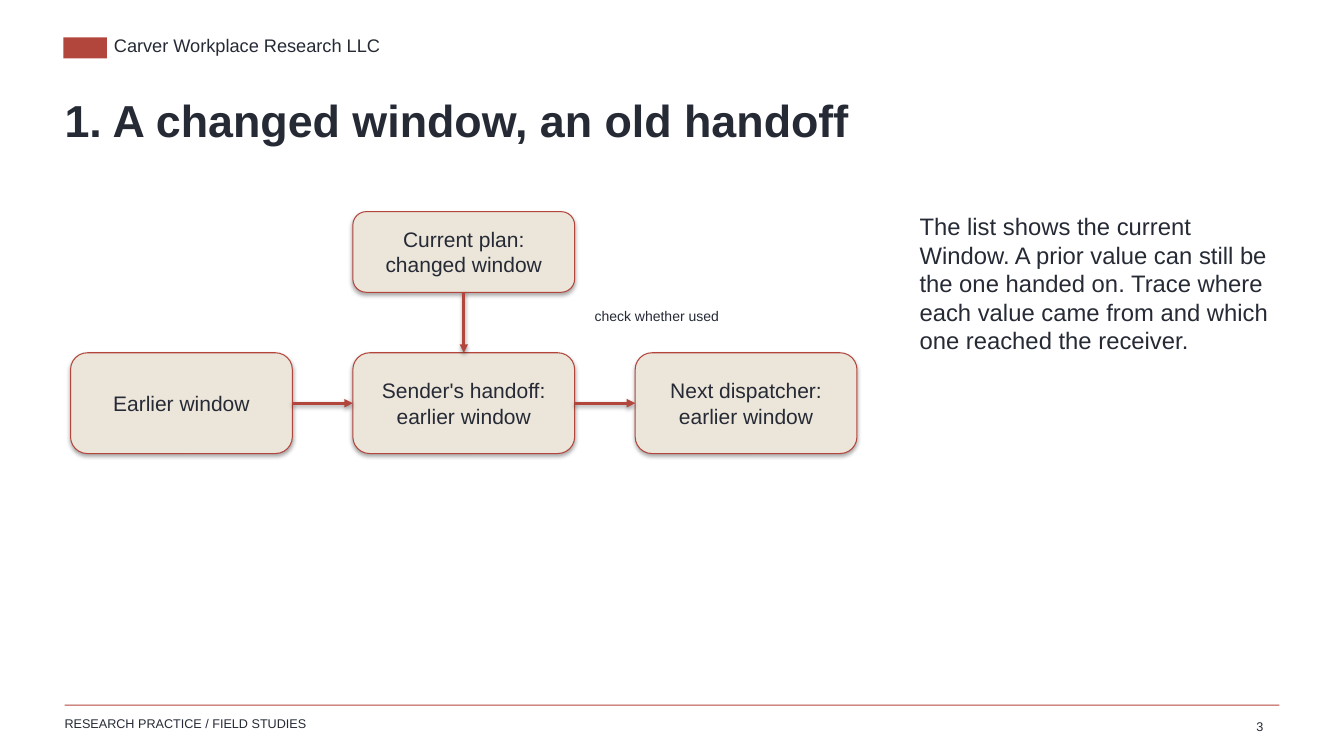
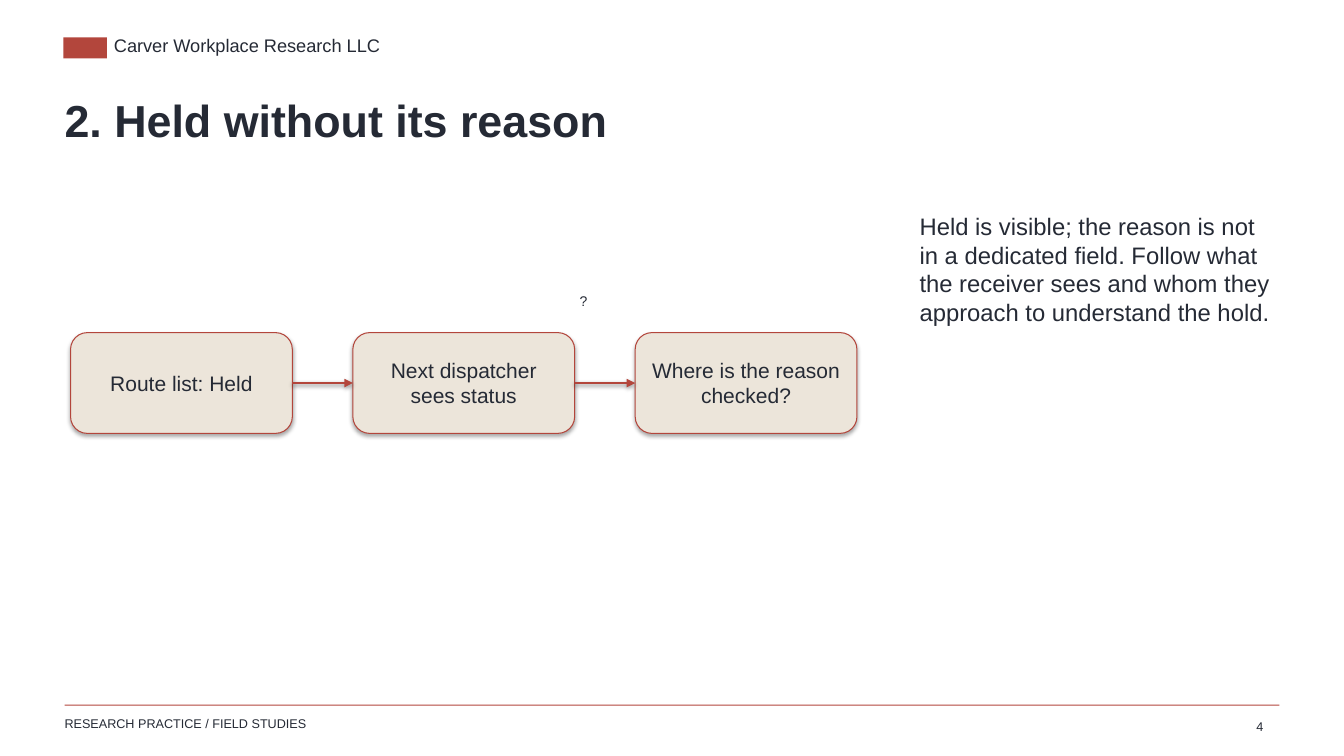
from dataclasses import dataclass
from typing import Optional

from lxml.etree import SubElement
from pptx import Presentation
from pptx.dml.color import RGBColor
from pptx.enum.shapes import MSO_CONNECTOR as Connector, MSO_SHAPE as Preset
from pptx.enum.text import MSO_ANCHOR as Anchor, MSO_AUTO_SIZE as AutoSize, PP_ALIGN as Align
from pptx.oxml.ns import qn
from pptx.util import Inches, Pt


@dataclass(frozen=True)
class Theme:
    ink: RGBColor = RGBColor(0x25, 0x2A, 0x35)
    accent: RGBColor = RGBColor(0xB3, 0x46, 0x3C)
    sand: RGBColor = RGBColor(0xEC, 0xE5, 0xDA)
    paper: RGBColor = RGBColor(0xFF, 0xFF, 0xFF)
    font: str = "Arial"
    title: int = 32
    body: int = 17
    step: int = 15
    brand: int = 13
    label: int = 10
    footer: int = 9
    after: int = 10


THEME = Theme()

# Layout grid, in inches
MARGIN = 0.64
STEP_LEFT, STEP_WIDTH, STEP_HEIGHT, STEP_GAP = 0.7, 2.2, 1, 0.6
PLAN_TOP, PLAN_HEIGHT = 2.1, 0.8

# Connection sites of a rounded rectangle
TOP, LEFT, BOTTOM, RIGHT = range(4)


@dataclass(frozen=True)
class Label:
    text: str
    left: float
    top: float


@dataclass(frozen=True)
class Case:
    page: int
    title: str
    remark: str
    steps: tuple[str, ...]
    steps_top: float
    label: Label
    plan: Optional[str] = None  # box above the middle step


CASES = (
    Case(
        page=3,
        title="1. A changed window, an old handoff",
        remark="The list shows the current Window. A prior value can still be the one "
        "handed on. Trace where each value came from and which one reached the receiver.",
        steps=("Earlier window", "Sender's handoff: earlier window",
               "Next dispatcher: earlier window"),
        steps_top=3.5,
        label=Label("check whether used", 5.8, 3),
        plan="Current plan: changed window",
    ),
    Case(
        page=4,
        title="2. Held without its reason",
        remark="Held is visible; the reason is not in a dedicated field. Follow what the "
        "receiver sees and whom they approach to understand the hold.",
        steps=("Route list: Held", "Next dispatcher sees status",
               "Where is the reason checked?"),
        steps_top=3.3,
        label=Label("?", 5.65, 2.85),
    ),
)


def write(shape, text: str, *, size: int, bold: bool = False, align=Align.LEFT,
          anchor=Anchor.TOP, wrap: bool = True, flush: bool = False,
          unbulleted: bool = False, after: int = 0) -> None:
    """Fill a shape with one formatted paragraph; flush drops all insets but the bottom."""
    frame = shape.text_frame
    frame.text = text
    frame.auto_size = AutoSize.NONE
    frame.word_wrap = wrap
    frame.vertical_anchor = anchor
    if flush:
        frame.margin_left = frame.margin_top = frame.margin_right = 0
    paragraph = frame.paragraphs[0]
    paragraph.alignment = align
    paragraph.space_before = Pt(0)
    paragraph.space_after = Pt(after)
    if unbulleted:
        properties = paragraph._p.get_or_add_pPr()
        properties.set("marL", "0")
        properties.set("indent", "0")
        SubElement(properties, qn("a:buNone"))
    font = paragraph.runs[0].font
    font.name, font.size, font.bold = THEME.font, Pt(size), bold
    font.color.rgb = THEME.ink


def place(shape, left: float, top: float, width: float, height: float) -> None:
    shape.left, shape.top = Inches(left), Inches(top)
    shape.width, shape.height = Inches(width), Inches(height)


def add_text(slide, text: str, left: float, top: float, width: float, height: float,
             **style):
    box = slide.shapes.add_textbox(Inches(left), Inches(top), Inches(width), Inches(height))
    write(box, text, **style)
    return box


def add_bar(slide, left: float, top: float, width: float, height: float):
    bar = slide.shapes.add_shape(Preset.RECTANGLE, Inches(left), Inches(top),
                                 Inches(width), Inches(height))
    bar.shadow.inherit = False
    bar.fill.solid()
    bar.fill.fore_color.rgb = THEME.accent
    bar.line.fill.background()
    return bar


def add_step(slide, text: str, column: int, top: float, height: float = STEP_HEIGHT):
    """Draw a flow box; it keeps the soft shadow of the document theme."""
    left = STEP_LEFT + column * (STEP_WIDTH + STEP_GAP)
    step = slide.shapes.add_shape(Preset.ROUNDED_RECTANGLE, Inches(left), Inches(top),
                                  Inches(STEP_WIDTH), Inches(height))
    step.fill.solid()
    step.fill.fore_color.rgb = THEME.sand
    step.line.color.rgb = THEME.accent
    step.line.width = Pt(0.75)
    write(step, text, size=THEME.step, align=Align.CENTER, anchor=Anchor.MIDDLE,
          after=THEME.after)
    return step


def add_arrow(slide, source, source_site: int, target, target_site: int) -> None:
    arrow = slide.shapes.add_connector(Connector.STRAIGHT, 0, 0, 0, 0)
    arrow.begin_connect(source, source_site)
    arrow.end_connect(target, target_site)
    arrow.line.color.rgb = THEME.accent
    arrow.line.width = Pt(2)
    SubElement(arrow.line._get_or_add_ln(), qn("a:tailEnd"), type="triangle")


def prepare_layout(layout) -> None:
    """Set the background and the places of title and body for every slide."""
    fill = layout.slide_master.background.fill
    fill.solid()
    fill.fore_color.rgb = THEME.paper
    title, body = layout.placeholders[0], layout.placeholders[1]
    place(title, MARGIN, 0.92, 12, 1)
    place(body, 9.12, PLAN_TOP, 3.48, 4.39)


def move_frame_to_master(slide, master) -> None:
    """Draw the header and footer once and hand them to the master."""
    frame = (
        add_bar(slide, 0.63, 0.37, 0.43, 0.21),
        add_text(slide, "Carver Workplace Research LLC", 1.13, 0.34, 5.5, 0.3,
                 size=THEME.brand, wrap=False, flush=True),
        add_bar(slide, MARGIN, 6.99, 12.05, 0.01),
        add_text(slide, "RESEARCH PRACTICE / FIELD STUDIES", MARGIN, 7.1, 5.5, 0.24,
                 size=THEME.footer, wrap=False, flush=True),
    )
    for part in frame:
        master.shapes.element.append(part.element)


def build_case(slide, case: Case) -> None:
    # Title and remark
    write(slide.shapes.title, case.title, size=THEME.title, bold=True, flush=True)
    write(slide.placeholders[1], case.remark, size=THEME.body, flush=True,
          unbulleted=True, after=THEME.after)

    # Flow of steps
    steps = [add_step(slide, text, column, case.steps_top)
             for column, text in enumerate(case.steps)]
    for source, target in zip(steps, steps[1:]):
        add_arrow(slide, source, RIGHT, target, LEFT)
    if case.plan:
        plan = add_step(slide, case.plan, 1, PLAN_TOP, PLAN_HEIGHT)
        add_arrow(slide, plan, BOTTOM, steps[1], TOP)

    # Flow label and page number
    add_text(slide, case.label.text, case.label.left, case.label.top, 2.3, 0.35,
             size=THEME.label, after=THEME.after)
    add_text(slide, str(case.page), 12.13, 7.08, 0.5, 0.25, size=THEME.footer,
             align=Align.RIGHT, after=THEME.after)


def main() -> None:
    deck = Presentation()
    deck.slide_width, deck.slide_height = Inches(13.33), Inches(7.5)
    layout = deck.slide_layouts[1]
    prepare_layout(layout)
    slides = [deck.slides.add_slide(layout) for _ in CASES]
    move_frame_to_master(slides[0], deck.slide_master)
    for slide, case in zip(slides, CASES):
        build_case(slide, case)
    deck.save("out.pptx")


if __name__ == "__main__":
    main()
